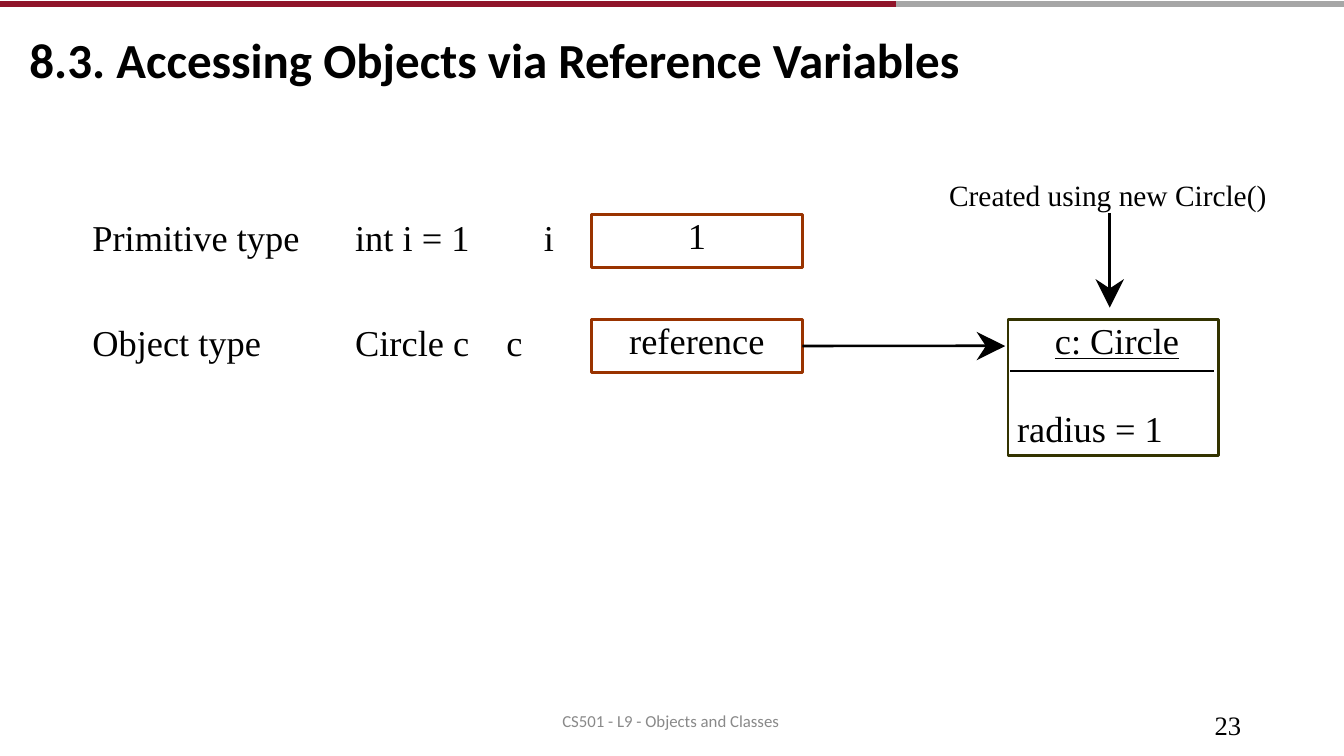
"""Build the slide on accessing objects via reference variables."""
from lxml import etree
from pptx import Presentation
from pptx.dml.color import RGBColor
from pptx.enum import shapes, text
from pptx.oxml import ns
from pptx.util import Pt

COLORS = {"ink": "000000", "variable": "993300", "object": "333300",
          "accent": "90152A", "rule": "A6A6A6", "footer": "898989"}
CENTER = text.PP_ALIGN.CENTER


def write(paragraph, words, size=26, font="Times New Roman", color="ink", bold=False,
          underline=False, align=text.PP_ALIGN.LEFT, line=None, before=None, indent=0, tab=None):
    """Fill a paragraph with formatted words."""
    properties = paragraph._p.get_or_add_pPr()
    properties.set("marL", str(Pt(indent)))
    properties.set("indent", "0")
    if tab:
        stops = etree.SubElement(properties, ns.qn("a:tabLst"))
        etree.SubElement(stops, ns.qn("a:tab"), pos=str(Pt(tab)), algn="l")
    paragraph.alignment = align
    if line:
        paragraph.line_spacing = Pt(line)
    if before:
        paragraph.space_before = Pt(before)
    run = paragraph.add_run()
    run.text = words
    run.font.size, run.font.name = Pt(size), font
    run.font.bold, run.font.underline = bold, underline
    run.font.color.rgb = RGBColor.from_string(COLORS[color])


def prepare(shape, top=0):
    """Set the insets of a shape and return its first paragraph."""
    frame = shape.text_frame
    frame.margin_left = frame.margin_right = frame.margin_bottom = 0
    frame.margin_top = Pt(top)
    frame.word_wrap = True
    frame.auto_size = text.MSO_AUTO_SIZE.NONE
    frame.vertical_anchor = text.MSO_ANCHOR.TOP
    return frame.paragraphs[0]


deck = Presentation()
deck.slide_width, deck.slide_height = Pt(960), Pt(540)
slide = deck.slides.add_slide(deck.slide_layouts[5])

title = slide.shapes.title
title.left, title.top, title.width, title.height = Pt(21), Pt(18.7), Pt(680), Pt(44)
write(prepare(title, top=2), "8.3. Accessing Objects via Reference Variables",
      size=35, font="Calibri", bold=True)

row_top, row_step = 153.4, 75
labels = [
    ("Primitive type", 66, row_top - 2, 152, 33, {}),
    ("int i = 1", 253.7, row_top - 2, 86, 33, {}),
    ("i", 388.4, row_top - 2, 12, 33, {}),
    ("Object type", 66, row_top + row_step - 2, 152, 33, {}),
    ("Circle c\tc", 253.7, row_top + row_step - 2, 148, 33, {"tab": 134.7}),
    ("Created using new Circle()", 678, 124.6, 232, 27.5, {"size": 21}),
    ("23", 867.6, 504.5, 24, 23, {"size": 19}),
    ("CS501 - L9 - Objects and Classes", 401.6, 506, 162, 17,
     {"size": 12, "font": "Calibri", "color": "footer"}),
]
for words, left, top, width, height, style in labels:
    label = slide.shapes.add_textbox(Pt(left), Pt(top), Pt(width), Pt(height))
    write(prepare(label, top=2), words, **style)

boxes = []
for left, row, height, color, words, style in [
    (422.6, 0, 37.5, "variable", "1", {"align": CENTER}),
    (422.6, 1, 37.5, "variable", "reference", {"align": CENTER}),
    (720, 1, 97, "object", "c: Circle", {"indent": 33.5, "underline": True}),
]:
    box = slide.shapes.add_shape(shapes.MSO_SHAPE.RECTANGLE, Pt(left),
                                 Pt(row_top + row * row_step), Pt(150.5), Pt(height))
    box.shadow.inherit = False
    box.fill.background()
    box.line.color.rgb = RGBColor.from_string(COLORS[color])
    box.line.width = Pt(1.88)
    write(prepare(box), words, line=30, **style)
    boxes.append(box)
primitive, reference, circle = boxes
write(circle.text_frame.add_paragraph(), "radius = 1", indent=6.5, before=32)

lines = []
for x1, y1, x2, y2, color, weight in [
    (573.1, 247, 705, 247, "ink", 1.88),
    (792.7, 152, 792.7, 206.5, "ink", 1.88),
    (721.5, 265, 867.5, 265, "ink", 1.88),
    (640, 2.8, 960, 2.8, "rule", 4),
    (0, 2.8, 640, 2.8, "accent", 4),
]:
    line = slide.shapes.add_connector(shapes.MSO_CONNECTOR.STRAIGHT, Pt(x1), Pt(y1), Pt(x2), Pt(y2))
    line.line.color.rgb = RGBColor.from_string(COLORS[color])
    line.line.width = Pt(weight)
    etree.SubElement(line._element.spPr, ns.qn("a:effectLst"))
    lines.append(line)
lines[0].begin_connect(reference, 3)

for tip_x, tip_y, along_x, along_y in [(718, 247.2, 1, 0), (792.7, 219.8, 0, 1)]:
    points = [(Pt(tip_x - back * along_x - side * along_y), Pt(tip_y - back * along_y - side * along_x))
              for back, side in [(0, 0), (20.5, 10.2), (13.8, 0), (20.5, -10.2)]]
    outline = slide.shapes.build_freeform(*points[0])
    outline.add_line_segments(points[1:], close=True)
    head = outline.convert_to_shape()
    head.shadow.inherit = False
    head.fill.solid()
    head.fill.fore_color.rgb = RGBColor.from_string(COLORS["ink"])
    head.line.fill.background()

deck.save("out.pptx")
